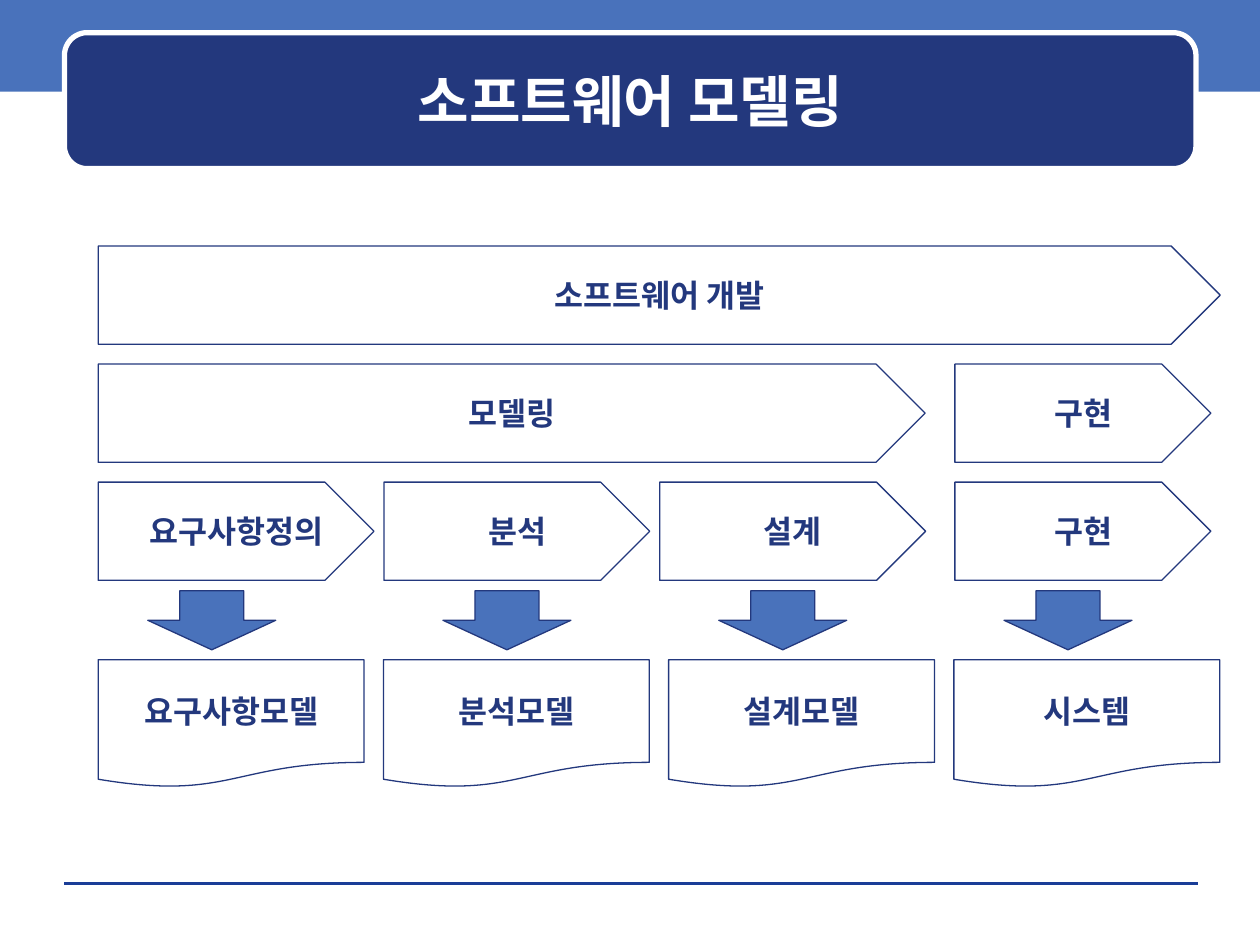
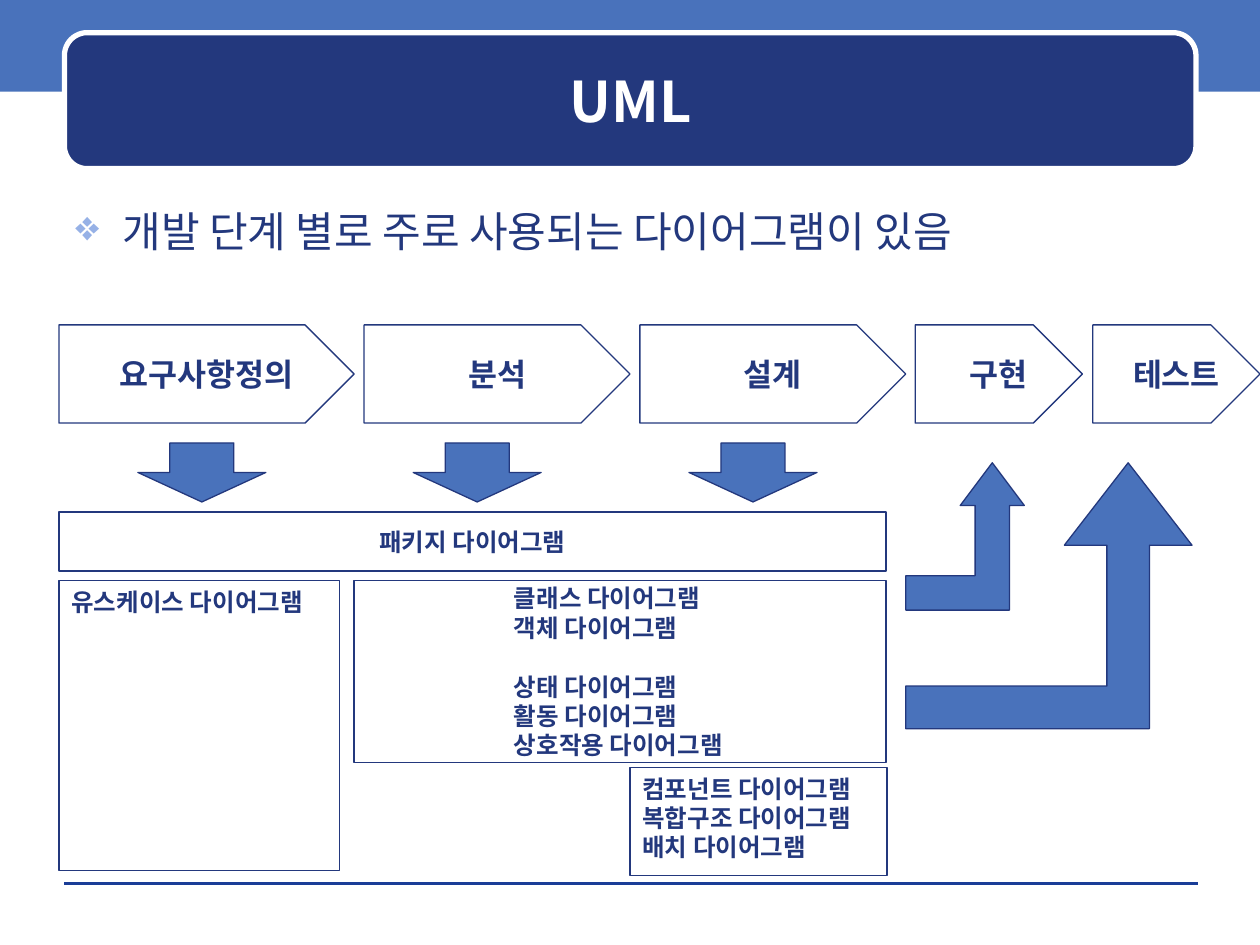
"""Build two slides on software modelling phases and the UML diagrams used in them."""
from lxml.etree import SubElement
from pptx import Presentation
from pptx.dml.color import RGBColor
from pptx.enum.shapes import MSO_CONNECTOR, MSO_SHAPE
from pptx.enum.text import MSO_ANCHOR, PP_ALIGN
from pptx.oxml.ns import qn
from pptx.util import Cm, Pt

NAVY = RGBColor(0x23, 0x38, 0x7D)
BLUE = RGBColor(0x49, 0x72, 0xBB)
RULE_BLUE = RGBColor(0x1A, 0x3D, 0x97)
WHITE = RGBColor(0xFF, 0xFF, 0xFF)
FONT = "Noto Sans CJK KR"
LINE_RATIO = 1.2


def add_figure(slide, kind, left, top, width, height, fill=None, line=NAVY, weight=0.75):
    shape = slide.shapes.add_shape(kind, Cm(left), Cm(top), Cm(width), Cm(height))
    shape.shadow.inherit = False
    if fill is None:
        shape.fill.background()
    else:
        shape.fill.solid()
        shape.fill.fore_color.rgb = fill
    if line is None:
        shape.line.fill.background()
    else:
        shape.line.color.rgb = line
        shape.line.width = Pt(weight)
    return shape


def set_text(shape, text, size, color=NAVY, bold=True, align=PP_ALIGN.CENTER,
             anchor=MSO_ANCHOR.MIDDLE, wrap=True):
    frame = shape.text_frame
    frame.text = text
    frame.word_wrap = wrap
    frame.vertical_anchor = anchor
    for paragraph in frame.paragraphs:
        paragraph.alignment = align
        if align == PP_ALIGN.LEFT:
            paragraph.line_spacing = Pt(size * LINE_RATIO)
        for run in paragraph.runs:
            run.font.size = Pt(size)
            run.font.bold = bold
            run.font.color.rgb = color
            run.font.name = FONT
            SubElement(run.font._element, qn("a:ea"), typeface=FONT)
    return frame


presentation = Presentation()
presentation.slide_width = Cm(25.4)
presentation.slide_height = Cm(19.05)

slides = []
for heading in ("소프트웨어 모델링", "UML"):
    slide = presentation.slides.add_slide(presentation.slide_layouts[5])
    add_figure(slide, MSO_SHAPE.RECTANGLE, 0, -0.08, 25.4, 1.93, BLUE, None)
    footer_rule = slide.shapes.add_connector(
        MSO_CONNECTOR.STRAIGHT, Cm(1.3), Cm(17.81), Cm(24.16), Cm(17.81))
    footer_rule.line.color.rgb = RULE_BLUE
    footer_rule.line.width = Pt(0)
    SubElement(footer_rule._element.spPr, qn("a:effectLst"))
    add_figure(slide, MSO_SHAPE.ROUNDED_RECTANGLE, 1.3, 0.66, 22.81, 2.74, NAVY, WHITE, 3)
    title = slide.shapes.title
    title.left, title.top, title.width, title.height = Cm(1.52), Cm(0.89), Cm(22.38), Cm(2.24)
    set_text(title, heading, 32, WHITE)
    slide.shapes._spTree.append(title._element)
    slides.append(slide)
modeling, uml = slides

phases = [
    (modeling, "소프트웨어 개발", 1.98, 4.96, 22.62),
    (modeling, "모델링", 1.98, 7.34, 16.67),
    (modeling, "구현", 19.25, 7.34, 5.16),
    (modeling, "요구사항정의", 1.98, 9.72, 5.56),
    (modeling, "분석", 7.74, 9.72, 5.36),
    (modeling, "설계", 13.3, 9.72, 5.36),
    (modeling, "구현", 19.25, 9.72, 5.16),
    (uml, "요구사항정의", 1.19, 6.55, 5.95),
    (uml, "분석", 7.34, 6.55, 5.36),
    (uml, "설계", 12.9, 6.55, 5.36),
    (uml, "구현", 18.45, 6.55, 3.37),
    (uml, "테스트", 22.03, 6.55, 3.37),
]
for slide, label, left, top, width in phases:
    phase = add_figure(slide, MSO_SHAPE.PENTAGON, left, top, width, 1.98)
    set_text(phase, label, 18, wrap=False).margin_left = Cm(0.75)

for column, label in enumerate(("요구사항모델", "분석모델", "설계모델", "시스템")):
    document = add_figure(
        modeling, MSO_SHAPE.FLOWCHART_DOCUMENT, 1.98 + 5.75 * column, 13.3, 5.36, 2.58)
    set_text(document, label, 18, wrap=False)

for slide, top, lefts in (
    (modeling, 11.91, (2.98, 8.93, 14.49, 20.24)),
    (uml, 8.93, (2.78, 8.33, 13.89)),
):
    for left in lefts:
        add_figure(slide, MSO_SHAPE.DOWN_ARROW, left, top, 2.58, 1.19, BLUE)

message = uml.shapes.add_textbox(Cm(1.27), Cm(4.01), Cm(22.86), Cm(1.5))
set_text(message, "개발 단계 별로 주로 사용되는 다이어그램이 있음", 24, bold=False,
         align=PP_ALIGN.LEFT, anchor=MSO_ANCHOR.TOP)
properties = message.text_frame.paragraphs[0]._p.get_or_add_pPr()
properties.set("marL", str(Cm(0.95)))
properties.set("indent", str(-Cm(0.95)))
bullet_color = SubElement(properties, qn("a:buClr"))
SubElement(bullet_color, qn("a:srgbClr"), val="96B1E6")
SubElement(properties, qn("a:buChar"), char="❖")

package_box = add_figure(uml, MSO_SHAPE.RECTANGLE, 1.19, 10.32, 16.67, 1.19)
set_text(package_box, "패키지 다이어그램", 14)

diagram_boxes = [
    (["유스케이스 다이어그램"], 1.19, 11.71, 5.66, 5.84, MSO_ANCHOR.TOP, 0.25),
    (["클래스 다이어그램", "객체 다이어그램", "상태 다이어그램", "활동 다이어그램",
      "상호작용 다이어그램"], 7.14, 11.71, 10.72, 3.66, MSO_ANCHOR.MIDDLE, 3.22),
    (["컴포넌트 다이어그램", "복합구조 다이어그램", "배치 다이어그램"],
     12.7, 15.47, 5.18, 2.18, MSO_ANCHOR.TOP, 0.25),
]
for names, left, top, width, height, anchor, margin in diagram_boxes:
    box = add_figure(uml, MSO_SHAPE.RECTANGLE, left, top, width, height)
    frame = set_text(box, "\n".join(names), 14, align=PP_ALIGN.LEFT, anchor=anchor)
    frame.margin_left = Cm(margin)
    for paragraph in frame.paragraphs:
        if paragraph.text == "상태 다이어그램":
            paragraph.space_before = Pt(14 * LINE_RATIO)

for width, height, adjustments in (
    (2.39, 2.97, (0.29, 0.27, 0.36)),
    (5.77, 5.36, (0.16, 0.24, 0.31)),
):
    feedback_arrow = add_figure(uml, MSO_SHAPE.BENT_UP_ARROW, 18.26, 9.33, width, height, BLUE)
    for index, value in enumerate(adjustments):
        feedback_arrow.adjustments[index] = value

presentation.save("out.pptx")
